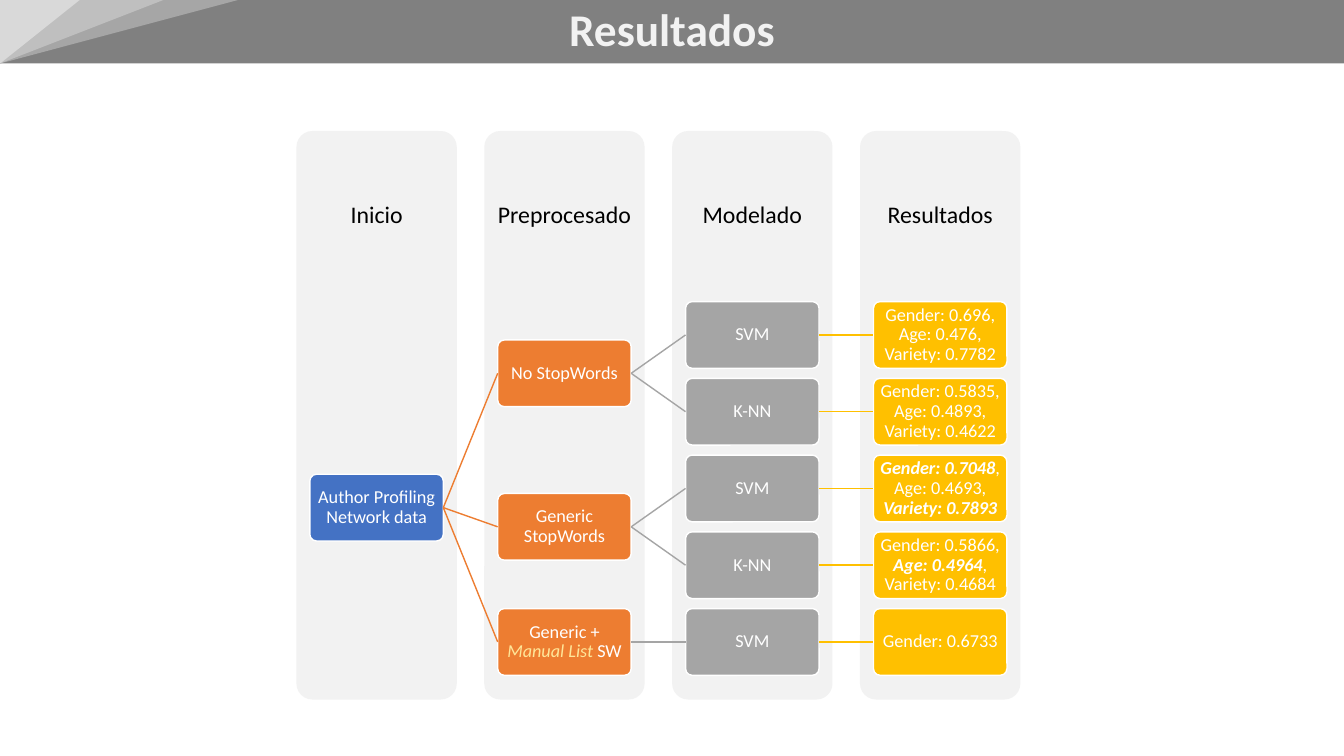
from pptx import Presentation, util as u
from pptx.dml.color import RGBColor
from pptx.enum import shapes as s, text as t
from pptx.oxml import parse_xml
from pptx.oxml.ns import nsdecls

WIDE, HIGH = 13.33, 7.5
FONT = "Calibri"
BLACK = RGBColor(0, 0, 0)
WHITE = RGBColor(0xFF, 0xFF, 0xFF)
PALE = RGBColor(0xF2, 0xF2, 0xF2)
GREY = RGBColor(0x80, 0x80, 0x80)
CREAM = RGBColor(0xFF, 0xE6, 0x99)
RAYS = [
    (2.36, RGBColor(0xA6, 0xA6, 0xA6)),
    (1.62, RGBColor(0xBF, 0xBF, 0xBF)),
    (0.79, RGBColor(0xD9, 0xD9, 0xD9)),
]
STAGES = [
    ("Inicio", RGBColor(0x44, 0x72, 0xC4)),
    ("Preprocesado", RGBColor(0xED, 0x7D, 0x31)),
    ("Modelado", RGBColor(0xA5, 0xA5, 0xA5)),
    ("Resultados", RGBColor(0xFF, 0xC0, 0x00)),
]
BEST = {"bold": True, "italic": True}


def leaf(model, *runs):
    """Pair a model with its one result."""
    return [(model, {})], [(runs, [])]


TREE = ([("Author Profiling Network data", {})], [
    ([("No StopWords", {})], [
        leaf("SVM", ("Gender: 0.696, Age: 0.476, Variety: 0.7782", {})),
        leaf("K-NN", ("Gender: 0.5835, Age: 0.4893, Variety: 0.4622", {})),
    ]),
    ([("Generic StopWords", {})], [
        leaf("SVM", ("Gender: 0.7048", BEST), (", Age: 0.4693, ", {}),
             ("Variety: 0.7893", BEST)),
        leaf("K-NN", ("Gender: 0.5866, ", {}), ("Age: 0.4964", BEST),
             (", Variety: 0.4684", {})),
    ]),
    ([("Generic + ", {}), ("Manual List ", {"italic": True, "color": CREAM}),
      ("SW", {})], [
        leaf("SVM", ("Gender: 0.6733", {})),
    ]),
])


def write(shape, runs, size, color, inset=0.0, bold=False):
    """Fill a shape with one centred paragraph of styled runs."""
    frame = shape.text_frame
    frame.word_wrap = True
    frame.auto_size = t.MSO_AUTO_SIZE.NONE
    frame.vertical_anchor = t.MSO_ANCHOR.MIDDLE
    frame.margin_left = frame.margin_right = u.Inches(inset)
    frame.margin_top = frame.margin_bottom = u.Inches(inset)
    para = frame.paragraphs[0]
    para.alignment = t.PP_ALIGN.CENTER
    para.line_spacing = 0.9
    for words, style in runs:
        run = para.add_run()
        run.text = words
        run.font.name = FONT
        run.font.size = u.Pt(size)
        run.font.bold = style.get("bold", bold)
        run.font.italic = style.get("italic", False)
        run.font.color.rgb = style.get("color", color)


def block(slide, kind, box, fill, edge=None):
    """Add a flat preset shape."""
    shape = slide.shapes.add_shape(kind, *map(u.Inches, box))
    shape.shadow.inherit = False
    shape.fill.solid()
    shape.fill.fore_color.rgb = fill
    if edge is None:
        shape.line.fill.background()
    else:
        shape.line.color.rgb = edge
        shape.line.width = u.Pt(1)
    return shape


def panel(slide, box, fill, edge=None):
    """Add a rectangle with slightly rounded corners."""
    shape = block(slide, s.MSO_SHAPE.ROUNDED_RECTANGLE, box, fill, edge)
    shape.adjustments[0] = 0.1
    return shape


def link(slide, start, end, color):
    """Join the right side of one node to the left side of the next."""
    line = slide.shapes.add_connector(s.MSO_CONNECTOR.STRAIGHT, 0, 0, 0, 0)
    line.begin_connect(start, 3)
    line.end_connect(end, 1)
    line.line.color.rgb = color
    line.line.width = u.Pt(1)
    line.element.spPr.append(parse_xml(f"<a:effectLst {nsdecls('a')}/>"))


def banner(slide, box, words):
    """Draw the title bar with its corner rays."""
    left, top, wide, high = box
    block(slide, s.MSO_SHAPE.RECTANGLE, box, GREY)
    for reach, color in RAYS:
        ray = block(slide, s.MSO_SHAPE.ISOSCELES_TRIANGLE,
                    (left, top, reach, high), color)
        ray.adjustments[0] = 1
        ray.rotation = 180
    title = slide.shapes.title
    title.left, title.top, title.width, title.height = map(u.Inches, box)
    write(title, [(words, {})], 32.4, PALE, bold=True)
    slide.shapes.element.append(title.element)


def chart(slide, box, tree):
    """Draw the stage columns and the tree of nodes across them."""
    left, top, wide, high = box
    span = 1.59
    step = (wide - span) / (len(STAGES) - 1)
    for col, (name, _) in enumerate(STAGES):
        x = left + col * step
        panel(slide, (x, top, span, high), PALE)
        head = slide.shapes.add_textbox(
            *map(u.Inches, (x, top, span, 0.3 * high)))
        write(head, [(name, {})], 17, BLACK, 0.13)

    pitch = 0.135 * high
    tall = pitch / 1.15
    rows = iter(range(5))

    def grow(node, col):
        """Place a node midway between its first and last child."""
        runs, below = node
        kids = [grow(kid, col + 1) for kid in below]
        row = (kids[0][1] + kids[-1][1]) / 2 if kids else next(rows)
        x = left + col * step + span / 2 - tall
        y = top + 0.3 * high + row * pitch
        shape = panel(slide, (x, y, 2 * tall, tall), STAGES[col][1], WHITE)
        write(shape, runs, 13, WHITE, 0.03)
        for kid, _ in kids:
            link(slide, shape, kid, STAGES[col + 1][1])
        return shape, row

    grow(tree, 0)


def main():
    """Build and save the slide."""
    deck = Presentation()
    deck.slide_width, deck.slide_height = u.Inches(WIDE), u.Inches(HIGH)
    slide = deck.slides.add_slide(deck.slide_layouts.get_by_name("Title Only"))
    banner(slide, (0, 0, WIDE, 0.084 * HIGH), "Resultados")
    chart(slide, (2.94, 1.3, 7.18, 5.64), TREE)
    deck.save("out.pptx")


if __name__ == "__main__":
    main()
